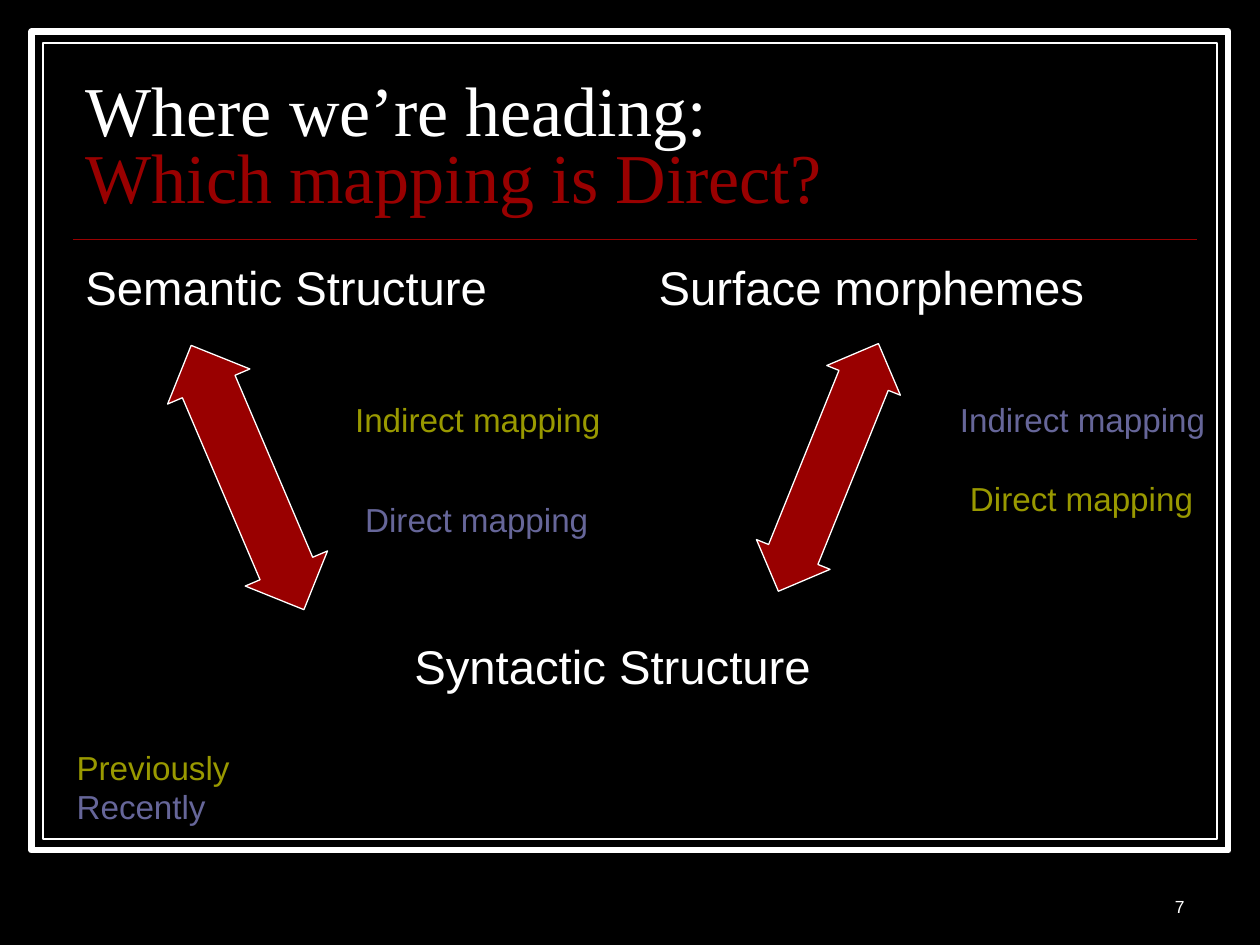
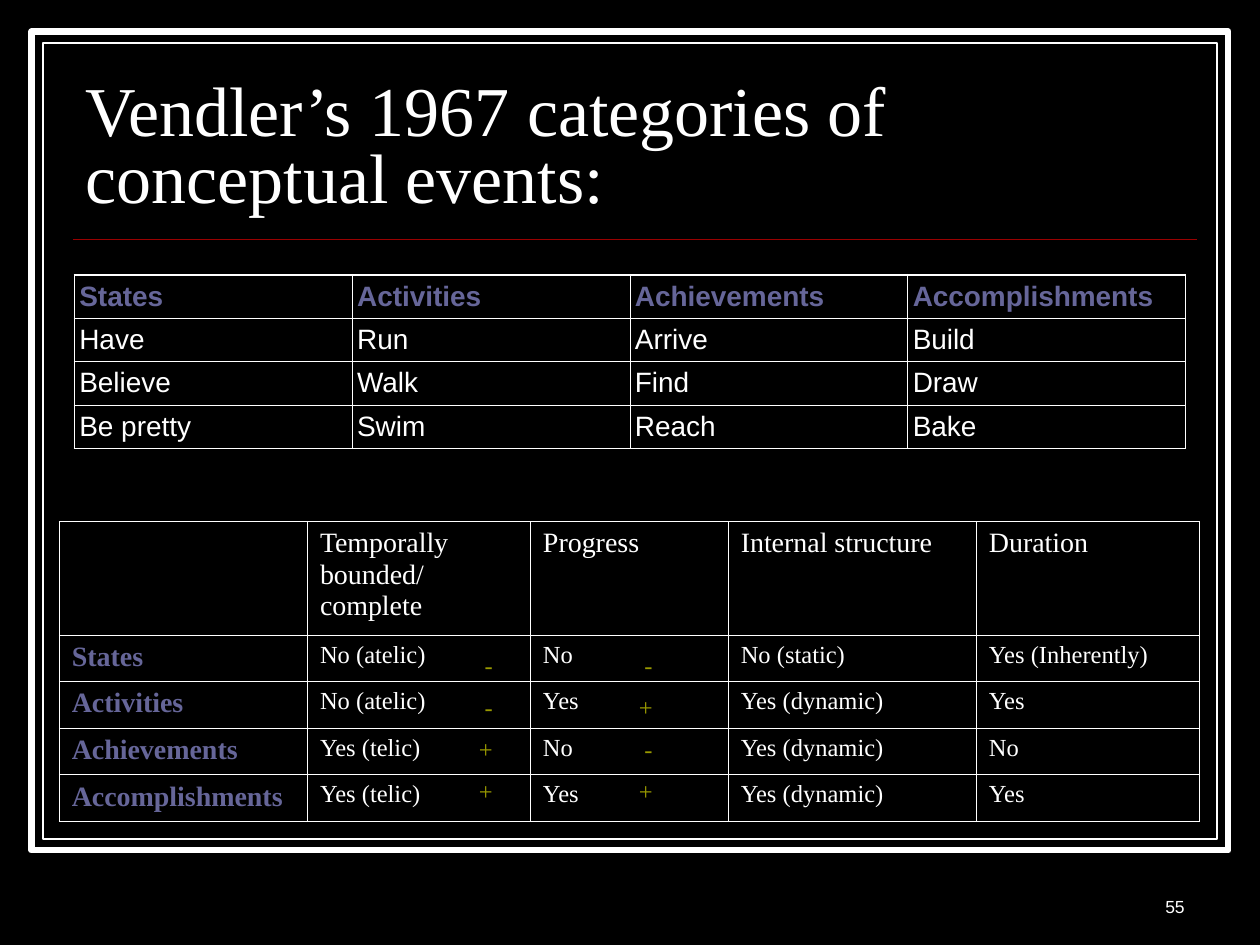
from lxml.etree import SubElement
from pptx import Presentation
from pptx.dml.color import RGBColor
from pptx.enum.shapes import MSO_CONNECTOR, MSO_SHAPE
from pptx.enum.text import MSO_ANCHOR, MSO_AUTO_SIZE, PP_ALIGN
from pptx.oxml.ns import qn
from pptx.util import Inches, Pt

BLACK, WHITE, RED = "000000", "FFFFFF", "990000"
OLIVE, SLATE = "999900", "666699"
SANS, SERIF = "Arial", "Times New Roman"
NO_GRID_STYLE = "{2D5ABB26-0587-4C30-8999-92F81FD0307C}"
LEFT, RIGHT = 0.58, 9.5
THIN, THICK = 0.45, 1.08

# Mapping slide: text, place, size, colour
MAPPING_TITLE = [("Where we’re heading:", WHITE), ("Which mapping is Direct?", RED)]
STRUCTURES = [
    ("Semantic Structure", (LEFT, 2, 4.37, 4.42)),
    ("Surface morphemes", (5.13, 2, 4.37, 1.44)),
    ("Syntactic Structure", (3.19, 5.01, 4.37, 1.44)),
]
MAPPINGS = [
    ("Indirect mapping", (2.72, 3.12, 2.84, 0.55), OLIVE),
    ("Direct mapping", (2.8, 3.91, 2.84, 0.55), SLATE),
    ("Indirect mapping", (7.52, 3.12, 2.4, 0.63), SLATE),
    ("Direct mapping", (7.6, 3.75, 2.4, 0.63), OLIVE),
    ("Previously", (0.51, 5.88, 2.84, 0.55), OLIVE),
    ("Recently", (0.51, 6.19, 2.84, 0.55), SLATE),
]
# Place, rotation, head length as a share of the width
ARROWS = [
    ((1.61, 2.65, 0.71, 2.28), 336.9, 0.64),
    ((6.26, 2.65, 0.63, 2.12), 22, 0.67),
]

# Event categories slide
EVENTS_TITLE = [("Vendler’s 1967 categories of conceptual events:", WHITE)]
VERBS = [
    ("States", "Activities", "Achievements", "Accomplishments"),
    ("Have", "Run", "Arrive", "Build"),
    ("Believe", "Walk", "Find", "Draw"),
    ("Be pretty", "Swim", "Reach", "Bake"),
]
FEATURES = [
    ("", "Temporally bounded/ complete", "Progress", "Internal structure", "Duration"),
    ("States", "No (atelic)", "No", "No (static)", "Yes (Inherently)"),
    ("Activities", "No (atelic)", "Yes", "Yes (dynamic)", "Yes"),
    ("Achievements", "Yes (telic)", "No", "Yes (dynamic)", "No"),
    ("Accomplishments", "Yes (telic)", "Yes", "Yes (dynamic)", "Yes"),
]
FEATURE_COLS = [1.97, 1.77, 1.57, 1.97, 1.77]
SIGNS = ["--", "-+", "+-", "++"]


def rgb(hex_code):
    return RGBColor.from_string(hex_code)


def inches(*lengths):
    return [Inches(n) for n in lengths]


def add_run(p, text, size, color, font=SANS, bold=False):
    r = p.add_run()
    r.text = text
    r.font.name, r.font.size, r.font.bold = font, Pt(size), bold
    r.font.color.rgb = rgb(color)


def add_text(s, text, place, size, color, align=PP_ALIGN.LEFT, anchor=MSO_ANCHOR.TOP):
    tf = s.shapes.add_textbox(*inches(*place)).text_frame
    tf.word_wrap = True
    tf.vertical_anchor = anchor
    tf.paragraphs[0].alignment = align
    add_run(tf.paragraphs[0], text, size, color)


def add_filled(s, preset, place, fill, width):
    sp = s.shapes.add_shape(preset, *inches(*place))
    sp.shadow.inherit = False
    sp.fill.solid()
    sp.fill.fore_color.rgb = rgb(fill)
    sp.line.color.rgb = rgb(WHITE)
    sp.line.width = Pt(width)
    return sp


def add_slide(prs, title_lines, number):
    """Slide with double frame, title, red rule and page number."""
    s = prs.slides.add_slide(prs.slide_layouts[5])
    for inset, width in ((0.25, 3.5), (0.34, 0.75)):
        frame = (inset, inset, 10 - 2 * inset, 7 - 2 * inset)
        add_filled(s, MSO_SHAPE.RECTANGLE, frame, BLACK, width)
    rule = s.shapes.add_connector(MSO_CONNECTOR.STRAIGHT, *inches(LEFT, 1.9, RIGHT, 1.9))
    rule.line.color.rgb = rgb(RED)
    rule.line.width = Pt(1)
    SubElement(rule.element.spPr, qn("a:effectLst"))
    add_text(s, number, (7.42, 6.83, 2.08, 0.5), 10, WHITE, PP_ALIGN.RIGHT, MSO_ANCHOR.BOTTOM)

    title = s.shapes.title
    title.element.getparent().append(title.element)  # in front of the frames
    title.left, title.top, title.width, title.height = inches(LEFT, 0.52, RIGHT - LEFT, 1.25)
    tf = title.text_frame
    tf.word_wrap = True
    tf.auto_size = MSO_AUTO_SIZE.NONE
    tf.vertical_anchor = MSO_ANCHOR.BOTTOM
    p = tf.paragraphs[0]
    p.alignment, p.line_spacing = PP_ALIGN.LEFT, 0.8
    for i, (text, color) in enumerate(title_lines):
        if i:
            p.add_line_break()
        add_run(p, text, 40, color, SERIF)
    return s


def set_borders(cell, widths):
    """Draw white borders; widths in points for left, right, top, bottom."""
    tc_pr = cell._tc.get_or_add_tcPr()
    for side, width in zip("LRTB", widths):
        ln = SubElement(tc_pr, qn(f"a:ln{side}"), w=str(Pt(width)))
        fill = SubElement(ln, qn("a:solidFill"))
        SubElement(fill, qn("a:srgbClr"), val=WHITE)


def add_table(s, rows, left, top, cols, heights, style, outer=0.0, inner=0.0,
              margins=(0.1, 0.05), align=PP_ALIGN.LEFT, anchor=MSO_ANCHOR.TOP):
    """Unfilled table; style(row, column) gives size, colour, font and bold."""
    place = inches(left, top, sum(cols), sum(heights))
    frame = s.shapes.add_table(len(rows), len(cols), *place)
    table = frame.table
    table.first_row = table.horz_banding = False
    table._tbl.tblPr.find(qn("a:tableStyleId")).text = NO_GRID_STYLE
    for col, width in zip(table.columns, cols):
        col.width = Inches(width)
    for row, height in zip(table.rows, heights):
        row.height = Inches(height)
    for i, texts in enumerate(rows):
        for j, text in enumerate(texts):
            cell = table.cell(i, j)
            cell.margin_left = cell.margin_right = Inches(margins[0])
            cell.margin_top = cell.margin_bottom = Inches(margins[1])
            cell.vertical_anchor = anchor
            if inner:
                edges = (j == 0, j == len(cols) - 1, i == 0, i == len(rows) - 1)
                set_borders(cell, [outer if edge else inner for edge in edges])
            cell.fill.background()
            p = cell.text_frame.paragraphs[0]
            p.alignment = align
            if text:
                add_run(p, text, *style(i, j))


def verb_style(i, j):
    return (16, WHITE, SANS, False) if i else (16, SLATE, SANS, True)


def feature_style(i, j):
    if i == 0:
        return 16, WHITE, SERIF, False
    return (14, WHITE, SERIF, False) if j else (16, SLATE, SERIF, True)


def sign_style(i, j):
    return 14, OLIVE, SERIF, False


def build_mapping_slide(prs):
    s = add_slide(prs, MAPPING_TITLE, "7")
    for text, place in STRUCTURES:
        add_text(s, text, place, 27, WHITE)
    for place, rotation, head in ARROWS:
        arrow = add_filled(s, MSO_SHAPE.UP_DOWN_ARROW, place, RED, 0.75)
        arrow.rotation = rotation
        arrow.adjustments[0], arrow.adjustments[1] = 0.5, head
    for text, place, color in MAPPINGS:
        add_text(s, text, place, 19, color)


def build_events_slide(prs):
    s = add_slide(prs, EVENTS_TITLE, "55")
    left = 0.47
    add_table(s, SIGNS, left + FEATURE_COLS[0], 5.13, FEATURE_COLS[2:0:-1][::-1][:1] and [1.57, 1.27],
              [1.33 / 4] * 4, sign_style, align=PP_ALIGN.RIGHT)
    add_table(s, FEATURES, left, 4.14, FEATURE_COLS, [0.9] + [0.37] * 4,
              feature_style, THIN, THIN)
    add_table(s, VERBS, 0.59, 2.18, [8.82 / 4] * 4, [1.38 / 4] * 4, verb_style,
              THICK, THIN, (0.04, 0.04), anchor=MSO_ANCHOR.MIDDLE)


def main():
    prs = Presentation()
    prs.slide_width, prs.slide_height = inches(10, 7.5)
    background = prs.slide_master.background.fill
    background.solid()
    background.fore_color.rgb = rgb(BLACK)
    build_mapping_slide(prs)
    build_events_slide(prs)
    prs.save("out.pptx")


if __name__ == "__main__":
    main()
